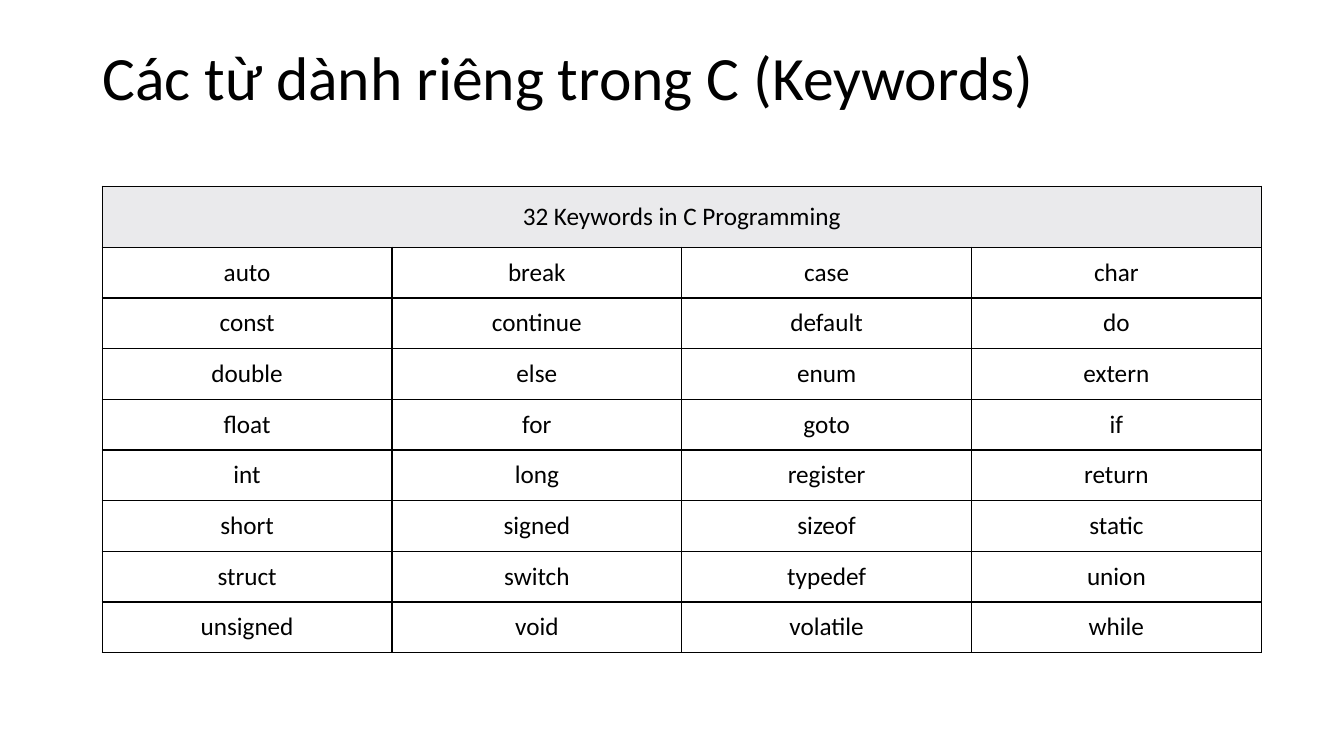
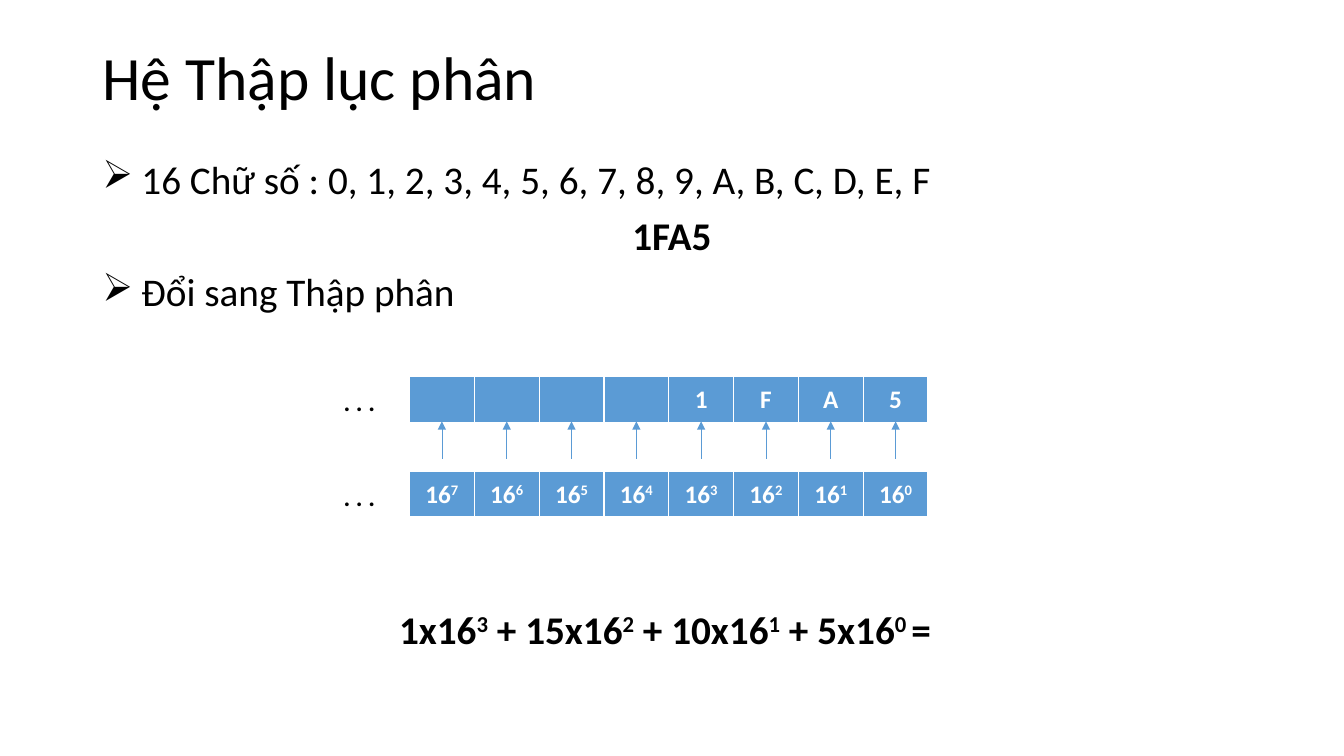
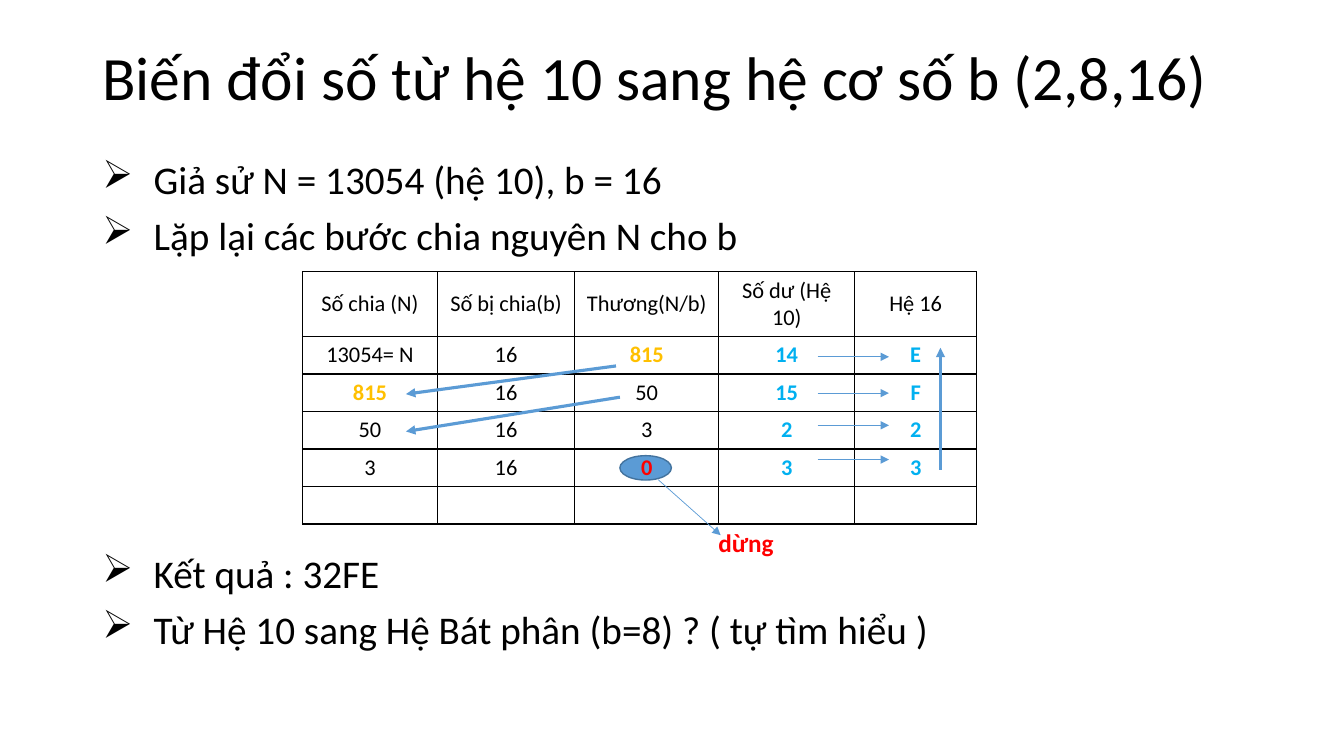
from lxml import etree
from pptx import Presentation
from pptx.dml.color import RGBColor
from pptx.enum.shapes import MSO_CONNECTOR, MSO_SHAPE
from pptx.enum.text import MSO_ANCHOR, PP_ALIGN
from pptx.oxml.ns import qn
from pptx.util import Pt

LEFT, CENTER = PP_ALIGN.LEFT, PP_ALIGN.CENTER
TOP, MIDDLE = MSO_ANCHOR.TOP, MSO_ANCHOR.MIDDLE
STRAIGHT, ELLIPSE = MSO_CONNECTOR.STRAIGHT, MSO_SHAPE.OVAL

FONT = "Calibri"
COLORS = {
    "black": "000000", "white": "FFFFFF", "header": "EAEAEC", "blue": "5B9BD5",
    "outline": "43739E", "gold": "FFC000", "cyan": "00B0F0", "red": "FF0000",
}
TITLE_BOX = (66, 15, 828, 85)
BODY_LEFT, BODY_TOP, BODY_WIDTH, LINE_STEP = 66, 111, 828, 40.2
BODY = {"size": 28, "spacing": 0.9, "before": 10}
GRID = dict.fromkeys("LRTB", ("black", 1))
WHITE_GRID = {**dict.fromkeys("LRT", ("white", 1)), "B": ("white", 3)}

KEYWORDS_TITLE = "Các từ dành riêng trong C (Keywords)"
KEYWORDS_HEADER = "32 Keywords in C Programming"
KEYWORDS = [
    ["auto", "break", "case", "char"],
    ["const", "continue", "default", "do"],
    ["double", "else", "enum", "extern"],
    ["float", "for", "goto", "if"],
    ["int", "long", "register", "return"],
    ["short", "signed", "sizeof", "static"],
    ["struct", "switch", "typedef", "union"],
    ["unsigned", "void", "volatile", "while"],
]

HEX_TITLE = "Hệ Thập lục phân"
HEX_LINES = [
    ("16 Chữ số : 0, 1, 2, 3, 4, 5, 6, 7, 8, 9, A, B, C, D, E, F", {}),
    ("1FA5", {"bold": True, "align": CENTER, "indent": 0}),
    ("Đổi sang Thập phân", {}),
]
HEX_SUM = "1x16^3^ + 15x16^2^ + 10x16^1^ + 5x16^0 ^="
DIGITS = ["", "", "", "", "1", "F", "A", "5"]
POWERS = [f"16^{power}" for power in reversed(range(len(DIGITS)))]
DIGITS_LEFT, DIGIT_WIDTH, DIGIT_HEIGHT = 292.5, 46.3, 33.8
DIGIT_ROWS = [(268.6, DIGITS), (336.4, POWERS)]
DIGIT_ARROW = (327.6, 301)

DIVISION_TITLE = "Biến đổi số từ hệ 10 sang hệ cơ số b (2,8,16)"
DIVISION_STEPS = [
    ("Giả sử N = 13054 (hệ 10), b = 16", {}),
    ("Lặp lại các bước chia nguyên N cho b", {}),
]
DIVISION_RESULT = [
    ("Kết quả : 32FE", {}),
    ("Từ Hệ 10 sang Hệ Bát phân (b=8) ? ( tự tìm hiểu )", {}),
]
DIVISION = [
    ["Số chia (N)", "Số bị chia(b)", "Thương(N/b)", "Số dư (Hệ 10)", "Hệ 16"],
    ["13054= N", "16", "815", "14", "E"],
    ["815", "16", "50", "15", "F"],
    ["50", "16", "3", "2", "2"],
    ["3", "16", "0", "3", "3"],
    [""] * 5,
]
DIVISION_WIDTHS = [96.5, 98, 103, 97, 87.3]
DIVISION_HEIGHTS = [46.4] + [26.8] * 5
HIGHLIGHTS = {"815": "gold", "0": "red"}
STOP_ELLIPSE = (442.8, 325.5, 36.8, 17.4)
STOP_LABEL = ("dừng", (506, 373, 73.5, 29))
READ_UP = ((671.8, 335.5), (671.8, 248.4))
QUOTIENTS = [((440, 261.4), (290, 281.5)), ((442.8, 283.7), (290, 308.2))]
REMAINDER_LEVELS = [254.9, 280.8, 303.8, 328.3]
REMAINDER_SPAN = (584, 635)
STOP_ARROW = ((470.2, 342.7), (514.8, 382.3))


def rgb(name):
    return RGBColor.from_string(COLORS[name])


def write(paragraph, text, size=18, color="black", bold=False, align=LEFT,
          indent=0, spacing=1, before=0):
    if indent:
        props = paragraph._p.get_or_add_pPr()
        props.set("marL", str(Pt(indent)))
        props.set("indent", str(-Pt(indent)))
        etree.SubElement(props, qn("a:buChar")).set("char", "➢")
    paragraph.alignment = align
    paragraph.line_spacing = spacing
    paragraph.space_before = Pt(before)
    for index, piece in enumerate(text.split("^")):
        if not piece:
            continue
        run = paragraph.add_run()
        run.text = piece
        run.font.name, run.font.size, run.font.bold = FONT, Pt(size), bold
        run.font.color.rgb = rgb(color)
        if index % 2:
            run._r.get_or_add_rPr().set("baseline", "30000")


def add_text(slide, box, lines, anchor=TOP, **style):
    frame = slide.shapes.add_textbox(*map(Pt, box)).text_frame
    frame.word_wrap = True
    frame.vertical_anchor = anchor
    for index, (text, changes) in enumerate(lines):
        paragraph = frame.add_paragraph() if index else frame.paragraphs[0]
        look = {**style, **changes}
        if not index:
            look["before"] = 0
        write(paragraph, text, **look)


def add_body(slide, first_line, lines, width=BODY_WIDTH, **style):
    box = (BODY_LEFT, BODY_TOP + first_line * LINE_STEP, width, len(lines) * LINE_STEP)
    add_text(slide, box, lines, **{**BODY, **style})


def add_titled_slide(deck, title):
    slide = deck.slides.add_slide(deck.slide_layouts[6])
    add_text(slide, TITLE_BOX, [(title, {})], anchor=MIDDLE, size=44, spacing=0.9)
    return slide


def format_cell(cell, text, borders, fill=None, **style):
    cell.vertical_anchor = MIDDLE
    cell.margin_top = cell.margin_bottom = 0
    write(cell.text_frame.paragraphs[0], text, align=CENTER, **style)
    props = cell._tc.get_or_add_tcPr()
    for side, (color, width) in borders.items():
        line = etree.SubElement(props, qn(f"a:ln{side}"), w=str(Pt(width)))
        solid = etree.SubElement(line, qn("a:solidFill"))
        etree.SubElement(solid, qn("a:srgbClr"), val=COLORS[color])
    if fill:
        cell.fill.solid()
        cell.fill.fore_color.rgb = rgb(fill)
    else:
        cell.fill.background()


def add_grid(slide, left, top, widths, heights, rows, style_of):
    box = (left, top, sum(widths), sum(heights))
    table = slide.shapes.add_table(len(heights), len(widths), *map(Pt, box)).table
    table.first_row = table.horz_banding = False
    for column, width in zip(table.columns, widths):
        column.width = Pt(width)
    for row, height in zip(table.rows, heights):
        row.height = Pt(height)
    for r, row in enumerate(rows):
        for c, text in enumerate(row):
            format_cell(table.cell(r, c), text, **style_of(r, c, text))
    return table


def add_arrow(slide, start, end, width=0.5):
    arrow = slide.shapes.add_connector(STRAIGHT, *map(Pt, start + end))
    arrow.line.color.rgb = rgb("blue")
    arrow.line.width = Pt(width)
    etree.SubElement(arrow.line._get_or_add_ln(), qn("a:tailEnd"), type="triangle")
    etree.SubElement(arrow._element.spPr, qn("a:effectLst"))


def keyword_style(row, column, text):
    return {"borders": GRID, "fill": "white" if row else "header"}


def digit_style(row, column, text):
    return {"borders": WHITE_GRID, "fill": "blue", "color": "white", "bold": True}


def division_style(row, column, text):
    color = "black"
    if row:
        color = "cyan" if column > 2 else HIGHLIGHTS.get(text, "black")
    return {"borders": GRID, "size": 16, "color": color, "bold": color != "black"}


def build_keywords(deck):
    slide = add_titled_slide(deck, KEYWORDS_TITLE)
    rows = [[KEYWORDS_HEADER, "", "", ""]] + KEYWORDS
    table = add_grid(slide, 73, 133, [207] * 4, [43.6] + [36.2] * len(KEYWORDS),
                     rows, keyword_style)
    table.cell(0, 0).merge(table.cell(0, 3))


def build_hexadecimal(deck):
    slide = add_titled_slide(deck, HEX_TITLE)
    add_body(slide, 0, HEX_LINES, indent=28)
    add_body(slide, 8, [(HEX_SUM, {})], width=818, bold=True, align=CENTER)
    for top, row in DIGIT_ROWS:
        add_grid(slide, DIGITS_LEFT, top, [DIGIT_WIDTH] * len(row), [DIGIT_HEIGHT],
                 [row], digit_style)
        add_text(slide, (238.3, top + 3.5, 59, 29), [(". . .", {})], bold=True)
    for index in range(len(DIGITS)):
        x = DIGITS_LEFT + (index + 0.5) * DIGIT_WIDTH
        start, end = DIGIT_ARROW
        add_arrow(slide, (x, start), (x, end))


def build_division(deck):
    slide = add_titled_slide(deck, DIVISION_TITLE)
    add_body(slide, 0, DIVISION_STEPS, indent=36.7)
    add_body(slide, 7, DIVISION_RESULT, indent=36.7)
    ellipse = slide.shapes.add_shape(ELLIPSE, *map(Pt, STOP_ELLIPSE))
    ellipse.shadow.inherit = False
    ellipse.fill.solid()
    ellipse.fill.fore_color.rgb = rgb("blue")
    ellipse.line.color.rgb = rgb("outline")
    ellipse.line.width = Pt(1)
    add_grid(slide, 216, 194, DIVISION_WIDTHS, DIVISION_HEIGHTS, DIVISION, division_style)
    for start, end in [READ_UP] + QUOTIENTS:
        add_arrow(slide, start, end, width=2.25)
    left, right = REMAINDER_SPAN
    for level in REMAINDER_LEVELS:
        add_arrow(slide, (left, level), (right, level))
    add_arrow(slide, *STOP_ARROW)
    label, box = STOP_LABEL
    add_text(slide, box, [(label, {})], color="red", bold=True)


def main():
    deck = Presentation()
    deck.slide_width, deck.slide_height = Pt(960), Pt(540)
    build_keywords(deck)
    build_hexadecimal(deck)
    build_division(deck)
    deck.save("out.pptx")


if __name__ == "__main__":
    main()
